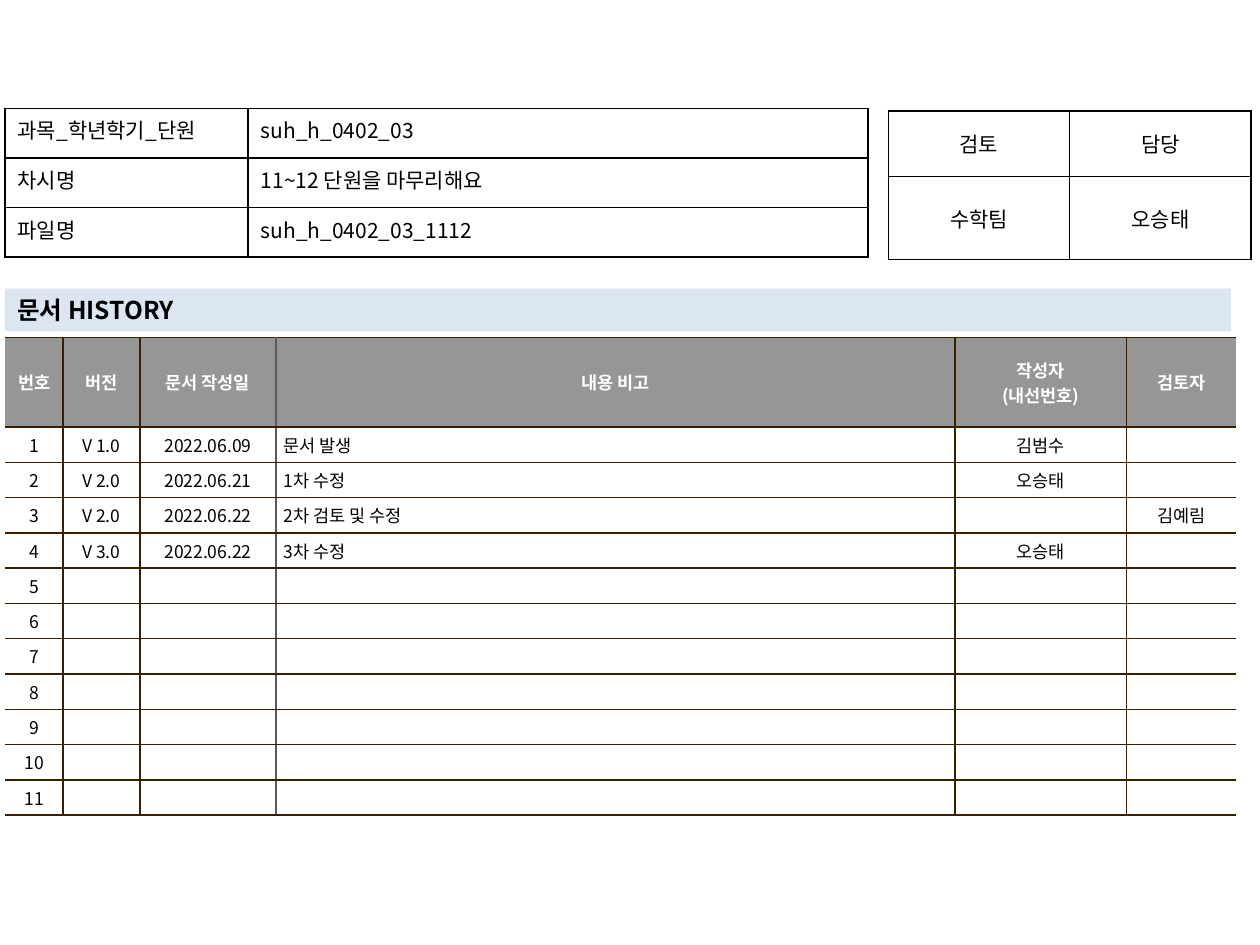
from lxml.etree import SubElement
from pptx import Presentation
from pptx.dml.color import RGBColor
from pptx.enum.shapes import MSO_SHAPE
from pptx.enum.text import MSO_ANCHOR as Anchor, PP_ALIGN as Align
from pptx.oxml import parse_xml
from pptx.oxml.ns import nsdecls, qn
from pptx.util import Inches, Pt

FONT = "Noto Sans CJK KR"
BLACK, WHITE, BROWN, TAUPE = "000000", "FFFFFF", "362000", "645B4C"
HEADER_GREY, TITLE_BLUE = "969696", "DCE6F2"
LEFT = 0.04


def write(frame, text, size, color=BLACK, bold=False, align=Align.LEFT):
    """Fill a text frame, one paragraph per line; an empty one keeps the size."""
    for index, line in enumerate(text.split("\n")):
        para = frame.add_paragraph() if index else frame.paragraphs[0]
        para.alignment = align
        if not line:
            SubElement(para._p, qn("a:endParaRPr"), sz=str(size * 100))
            continue
        run = para.add_run()
        run.text = line
        font = run.font
        font.name, font.size, font.bold = FONT, Pt(size), bold
        font.color.rgb = RGBColor.from_string(color)
        SubElement(run._r.get_or_add_rPr(), qn("a:ea"), typeface=FONT)


def make_table(left, top, widths, heights, margins, anchor, edges):
    """Add an unstyled table; edges(column) gives left, right, top, bottom colours."""
    table = slide.shapes.add_table(
        len(heights), len(widths), Inches(left), Inches(top),
        Inches(sum(widths)), Inches(sum(heights))).table
    table.first_row = table.horz_banding = False
    for column, width in zip(table.columns, widths):
        column.width = Inches(width)
    for row, height in zip(table.rows, heights):
        row.height = Inches(height)
        for col, cell in enumerate(row.cells):
            cell.margin_left = cell.margin_right = Inches(margins[0])
            cell.margin_top = cell.margin_bottom = Inches(margins[1])
            cell.vertical_anchor = anchor
            cell.fill.background()
            for place, (side, color) in enumerate(zip("LRTB", edges(col))):
                paint = (f'<a:solidFill><a:srgbClr val="{color}"/></a:solidFill>'
                         if color else "<a:noFill/>")
                cell._tc.get_or_add_tcPr().insert(place, parse_xml(
                    f'<a:ln{side} {nsdecls("a")} w="12700">{paint}</a:ln{side}>'))
    return table


prs = Presentation()
prs.slide_width, prs.slide_height = Inches(10), Inches(7.5)
slide = prs.slides.add_slide(prs.slide_layouts[6])

# Version history
history_rows = [
    ["번호", "버전", "문서 작성일", "내용 비고", "작성자\n(내선번호)", "검토자"],
    ["1", "V 1.0", "2022.06.09", "문서 발생", "김범수", ""],
    ["2", "V 2.0", "2022.06.21", "1차 수정", "오승태", ""],
    ["3", "V 2.0", "2022.06.22", "2차 검토 및 수정", "", "김예림"],
    ["4", "V 3.0", "2022.06.22", "3차 수정", "오승태", ""],
]
history_rows += [[str(number)] + [""] * 5 for number in range(5, 12)]
verticals = [None, BROWN, BROWN, TAUPE, BROWN, BROWN, None]
NOTE_COLUMN = 3
history = make_table(
    LEFT, 2.68, [0.46, 0.61, 1.08, 5.39, 1.36, 0.87], [0.71] + [0.28] * 11,
    (0.06, 0.04), Anchor.MIDDLE,
    lambda col: (verticals[col], verticals[col + 1], BROWN, BROWN))
for r, entries in enumerate(history_rows):
    header = r == 0
    for c, entry in enumerate(entries):
        cell = history.cell(r, c)
        cell.fill.solid()
        cell.fill.fore_color.rgb = RGBColor.from_string(HEADER_GREY if header else WHITE)
        is_note = c == NOTE_COLUMN and not header
        write(cell.text_frame, entry, 10, WHITE if header else BLACK, header,
              Align.LEFT if is_note else Align.CENTER)

# Review sign-off
review = make_table(7.05, 0.88, [1.44] * 2, [0.52, 0.66], (0.1, 0.05),
                    Anchor.MIDDLE, lambda col: [BLACK] * 4)
for r, entries in enumerate([("검토", "담당"), ("수학팀", "오승태")]):
    for c, entry in enumerate(entries):
        write(review.cell(r, c).text_frame, entry, 12, align=Align.CENTER)

# History title bar
title = slide.shapes.add_shape(MSO_SHAPE.RECTANGLE, Inches(LEFT), Inches(2.29),
                               Inches(9.73), Inches(0.34))
title.shadow.inherit = False
title.fill.solid()
title.fill.fore_color.rgb = RGBColor.from_string(TITLE_BLUE)
title.line.fill.background()
title.text_frame.word_wrap = True
title.text_frame.vertical_anchor = Anchor.MIDDLE
write(title.text_frame, "문서 HISTORY", 14, bold=True)

# Document details
details = make_table(LEFT, 0.86, [1.93, 4.92], [1.18 / 3] * 3, (0.1, 0.05),
                     Anchor.TOP, lambda col: [BLACK] * 4)
detail_rows = [
    ("과목_학년학기_단원", "suh_h_0402_03"),
    ("차시명", "11~12 단원을 마무리해요"),
    ("파일명", "suh_h_0402_03_1112"),
]
for r, (label, value) in enumerate(detail_rows):
    write(details.cell(r, 0).text_frame, label, 12, align=Align.JUSTIFY)
    write(details.cell(r, 1).text_frame, value, 12)

prs.save("out.pptx")
